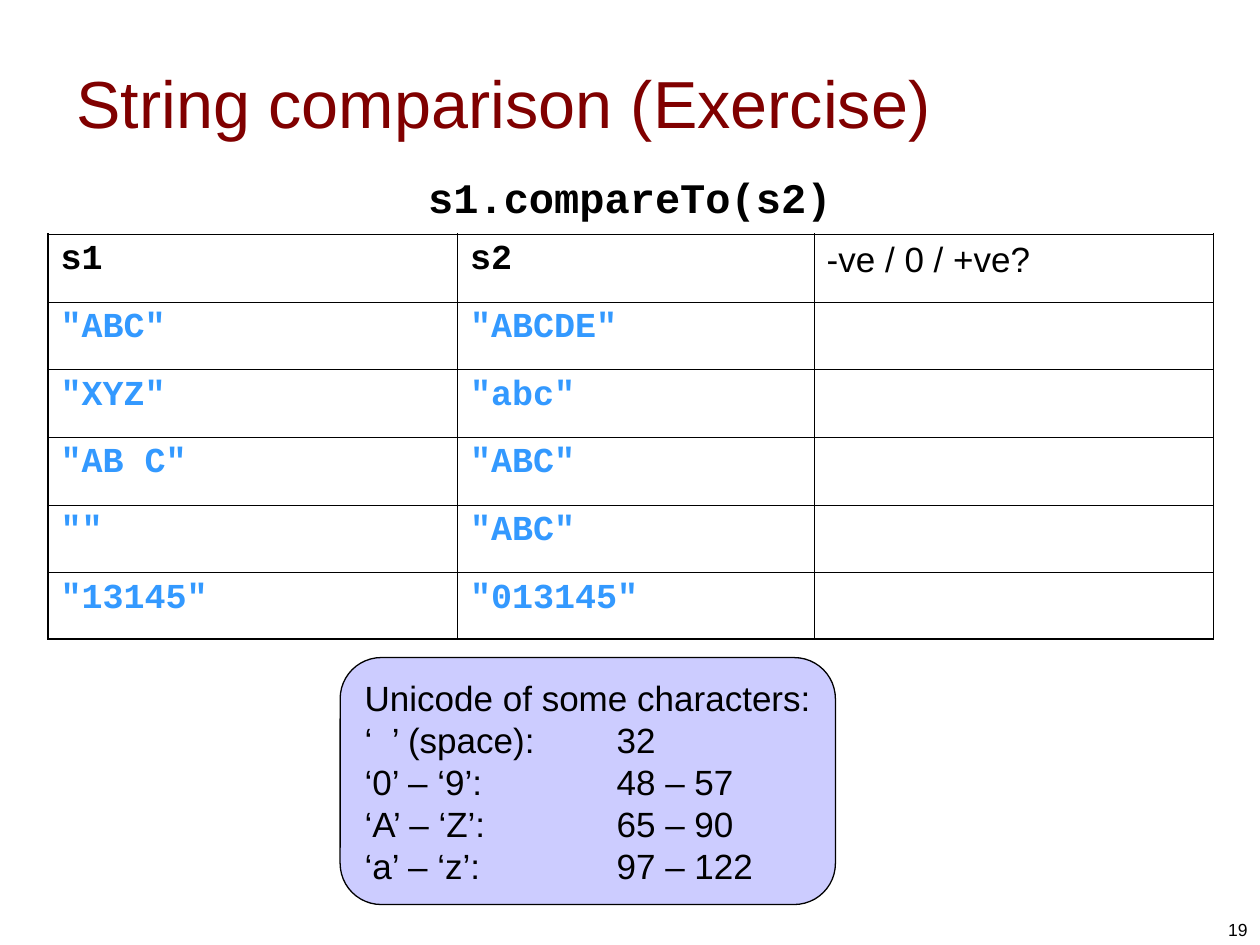
"""Build the string comparison exercise slide."""
from dataclasses import dataclass

import lxml.etree
import pptx
import pptx.dml.color
import pptx.enum.shapes
import pptx.enum.text
import pptx.oxml.ns
import pptx.util

Pt = pptx.util.Pt
Anchor = pptx.enum.text.MSO_ANCHOR
Align = pptx.enum.text.PP_ALIGN
qn = pptx.oxml.ns.qn

COLORS = {"text": "000000", "title": "800000", "literal": "3399FF",
          "panel": "CCCCFF", "paper": "FFFFFF"}
SANS, MONO = "Arial", "Courier New"
OUTER_BORDER, INNER_BORDER = 1.08, 0.45
TAB_STOP = 144


@dataclass(frozen=True)
class Style:
    size: float
    font: str = SANS
    color: str = "text"
    bold: bool = False


@dataclass(frozen=True)
class Label:
    text: str
    box: tuple[float, float, float, float]
    style: Style
    anchor: Anchor = Anchor.TOP
    align: Align = Align.LEFT
    wrap: bool = True


BODY = Style(20)
HEADING = Style(20, MONO, bold=True)
LITERAL = Style(20, MONO, "literal", True)

LABELS = [
    Label("String comparison (Exercise)", (36.7, 13, 648, 90),
          Style(38, color="title"), Anchor.MIDDLE),
    Label("s1.compareTo(s2)", (237.6, 94.3, 244.8, 36),
          Style(24, MONO, bold=True), wrap=False),
    Label("19", (552.2, 504.7, 167.8, 36), Style(10), Anchor.BOTTOM, Align.RIGHT),
]

TABLE_BOX = (27.4, 133.9, 666, 231.1)
COLUMN_WIDTHS = (234, 203.8, 228.2)
ROW_HEIGHTS = (38.9, 38.5, 38.7, 38.7, 38.5, 37.8)
ROWS = [
    ("s1", "s2", "-ve / 0 / +ve?"),
    ('"ABC"', '"ABCDE"', ""),
    ('"XYZ"', '"abc"', ""),
    ('"AB C"', '"ABC"', ""),
    ('""', '"ABC"', ""),
    ('"13145"', '"013145"', ""),
]

PANEL_BOX = (194.4, 375.8, 283, 141.1)
PANEL_LINES = [
    "Unicode of some characters:",
    "‘  ’ (space):\t32",
    "‘0’ – ‘9’:\t48 – 57",
    "‘A’ – ‘Z’:\t65 – 90",
    "‘a’ – ‘z’:\t97 – 122",
]


def rgb(name: str) -> pptx.dml.color.RGBColor:
    """Return the named colour."""
    return pptx.dml.color.RGBColor.from_string(COLORS[name])


def points(values: tuple[float, ...]) -> list[pptx.util.Length]:
    """Convert numbers to point lengths."""
    return [Pt(value) for value in values]


def apply_style(paragraph, style: Style) -> None:
    """Set the font of a whole paragraph."""
    font = paragraph.font
    font.name, font.size, font.bold = style.font, Pt(style.size), style.bold
    font.color.rgb = rgb(style.color)


def add_label(slide, label: Label) -> None:
    """Add a single-paragraph text box."""
    frame = slide.shapes.add_textbox(*points(label.box)).text_frame
    frame.word_wrap = label.wrap
    frame.vertical_anchor = label.anchor
    paragraph = frame.paragraphs[0]
    paragraph.text, paragraph.alignment = label.text, label.align
    apply_style(paragraph, label.style)


def set_borders(cell, widths: dict[str, float]) -> None:
    """Draw solid cell borders, given in left, right, top, bottom order."""
    properties = cell._tc.get_or_add_tcPr()
    for index, (side, width) in enumerate(widths.items()):
        line = lxml.etree.Element(qn(f"a:ln{side}"), w=str(int(Pt(width))))
        fill = lxml.etree.SubElement(line, qn("a:solidFill"))
        lxml.etree.SubElement(fill, qn("a:srgbClr"), val=COLORS["text"])
        properties.insert(index, line)


def cell_style(row: int, column: int) -> Style:
    """Choose the text style for a table position."""
    if column == 2:
        return BODY
    return HEADING if row == 0 else LITERAL


def add_comparison_table(slide) -> None:
    """Add the table of string pairs."""
    last_row, last_column = len(ROWS) - 1, len(COLUMN_WIDTHS) - 1
    table = slide.shapes.add_table(
        len(ROWS), len(COLUMN_WIDTHS), *points(TABLE_BOX)).table
    table.first_row = table.horz_banding = False
    for column, width in zip(table.columns, COLUMN_WIDTHS):
        column.width = Pt(width)
    for row, height in zip(table.rows, ROW_HEIGHTS):
        row.height = Pt(height)
    for r, values in enumerate(ROWS):
        for c, value in enumerate(values):
            cell = table.cell(r, c)
            cell.fill.solid()
            cell.fill.fore_color.rgb = rgb("paper")
            edges = {"L": c == 0, "R": c == last_column, "T": r == 0, "B": r == last_row}
            set_borders(cell, {side: OUTER_BORDER if outer else INNER_BORDER
                               for side, outer in edges.items()})
            paragraph = cell.text_frame.paragraphs[0]
            paragraph.text, paragraph.space_before = value, Pt(5)
            apply_style(paragraph, cell_style(r, c))


def add_tab_stop(paragraph, position: float) -> None:
    """Add a left tab stop to a paragraph."""
    tabs = lxml.etree.SubElement(paragraph._p.get_or_add_pPr(), qn("a:tabLst"))
    lxml.etree.SubElement(tabs, qn("a:tab"), pos=str(int(Pt(position))), algn="l")


def add_unicode_panel(slide) -> None:
    """Add the rounded panel of character codes."""
    panel = slide.shapes.add_shape(
        pptx.enum.shapes.MSO_SHAPE.ROUNDED_RECTANGLE, *points(PANEL_BOX))
    panel.shadow.inherit = False
    panel.fill.solid()
    panel.fill.fore_color.rgb = rgb("panel")
    panel.line.color.rgb = rgb("text")
    panel.line.width = Pt(0.75)
    frame = panel.text_frame
    frame.word_wrap = False
    frame.vertical_anchor = Anchor.MIDDLE
    frame.text = "\n".join(PANEL_LINES)
    for paragraph in frame.paragraphs:
        paragraph.alignment = Align.LEFT
        add_tab_stop(paragraph, TAB_STOP)
        apply_style(paragraph, BODY)


def main() -> None:
    """Assemble and save the presentation."""
    presentation = pptx.Presentation()
    presentation.slide_width, presentation.slide_height = Pt(720), Pt(540)
    slide = presentation.slides.add_slide(presentation.slide_layouts[6])
    add_comparison_table(slide)
    add_unicode_panel(slide)
    for label in LABELS:
        add_label(slide, label)
    presentation.save("out.pptx")


if __name__ == "__main__":
    main()
